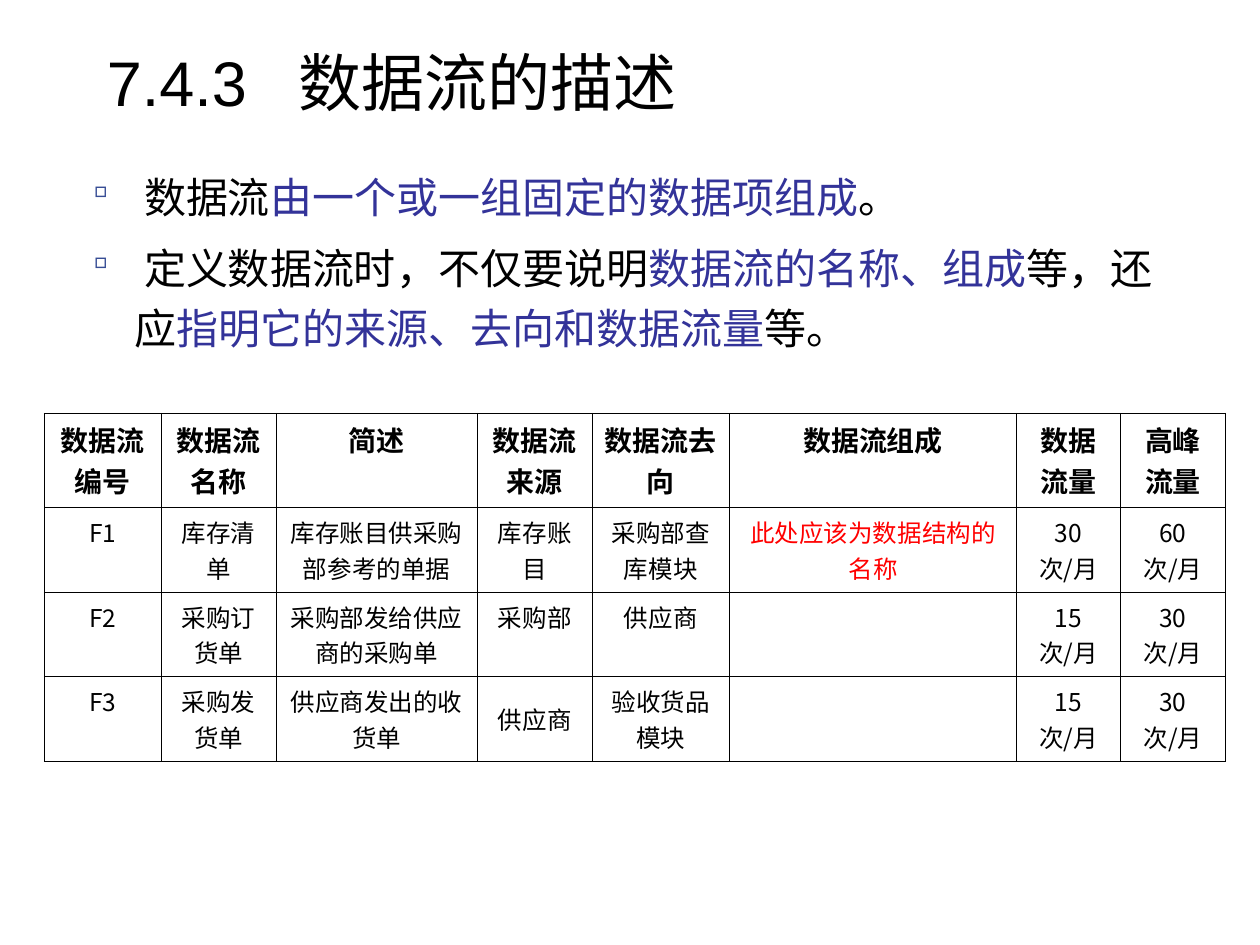
from lxml import etree
from pptx import Presentation
from pptx.dml.color import RGBColor
from pptx.enum.text import MSO_ANCHOR, PP_ALIGN
from pptx.oxml.ns import qn
from pptx.util import Inches, Pt

MIDDLE, TOP = MSO_ANCHOR.MIDDLE, MSO_ANCHOR.TOP
CENTER = PP_ALIGN.CENTER
COLORS = {"text": "000000", "accent": "333399", "bullet": "374D95",
          "note": "FF0000", "border": "000000"}
TITLE = {"name": "Arial", "size": Pt(36)}
BODY = {"name": "Arial", "size": Pt(24)}
HEAD = {"name": "Noto Sans CJK SC", "size": Pt(16), "bold": True}
CELL = {"name": "Noto Sans CJK SC", "size": Pt(14), "bold": False}

# Each bullet is a list of (text, colour) runs
BULLETS = [
    [(" 数据流", "text"), ("由一个或一组固定的数据项组成", "accent"), ("。", "text")],
    [(" 定义数据流时，不仅要说明", "text"), ("数据流的名称、组成", "accent"),
     ("等，还应", "text"), ("指明它的来源、去向和数据流量", "accent"), ("等。", "text")],
]
COLS = [0.93, 0.91, 1.6, 0.91, 1.09, 2.28, 0.82, 0.84]
ROWS = [0.75, 0.67, 0.67, 0.67]
FLOWS = [
    ["数据流编号", "数据流名称", "简述", "数据流来源", "数据流去向", "数据流组成",
     "数据流量", "高峰流量"],
    ["F1", "库存清单", "库存账目供采购部参考的单据", "库存账目", "采购部查库模块",
     "此处应该为数据结构的名称", "30次/月", "60次/月"],
    ["F2", "采购订货单", "采购部发给供应商的采购单", "采购部", "供应商", "",
     "15次/月", "30次/月"],
    ["F3", "采购发货单", "供应商发出的收货单", "供应商", "验收货品\n模块", "",
     "15次/月", "30次/月"],
]
NOTE_CELL = (1, 5)
MIDDLE_CELLS = {(3, 3), (3, 4)}


def set_font(font, fmt, color):
    for key, value in fmt.items():
        setattr(font, key, value)
    font.color.rgb = RGBColor.from_string(COLORS[color])


def add_run(p, text, fmt, color):
    r = p.add_run()
    r.text = text
    set_font(r.font, fmt, color)


def add_box(s, box, anchor):
    tf = s.shapes.add_textbox(*map(Inches, box)).text_frame
    tf.word_wrap = True
    tf.vertical_anchor = anchor
    return tf


def add_title(s, box):
    p = add_box(s, box, MIDDLE).paragraphs[0]
    # A tab stop sets the heading apart from its number
    tabs = etree.SubElement(p._p.get_or_add_pPr(), qn("a:tabLst"))
    etree.SubElement(tabs, qn("a:tab"), pos=str(Inches(1.52)), algn="l")
    add_run(p, "7.4.3\t数据流的描述", TITLE, "text")


def add_bullets(s, box):
    tf = add_box(s, box, TOP)
    for i, runs in enumerate(BULLETS):
        p = tf.add_paragraph() if i else tf.paragraphs[0]
        pPr = p._p.get_or_add_pPr()
        pPr.set("marL", str(Inches(0.38)))
        pPr.set("indent", str(-Inches(0.38)))
        color = etree.SubElement(pPr, qn("a:buClr"))
        etree.SubElement(color, qn("a:srgbClr"), val=COLORS["bullet"])
        etree.SubElement(pPr, qn("a:buSzPct"), val="75000")
        etree.SubElement(pPr, qn("a:buChar"), char="▫")
        p.line_spacing = 1.2
        p.space_before = Pt(6 if i else 0)
        for text, color_name in runs:
            add_run(p, text, BODY, color_name)


def add_borders(cell):
    tcPr = cell._tc.get_or_add_tcPr()
    for side in ("lnL", "lnR", "lnT", "lnB"):
        ln = etree.SubElement(tcPr, qn(f"a:{side}"), w=str(Pt(0.45)))
        fill = etree.SubElement(ln, qn("a:solidFill"))
        etree.SubElement(fill, qn("a:srgbClr"), val=COLORS["border"])


def add_flow_table(s, box):
    table = s.shapes.add_table(len(ROWS), len(COLS), *map(Inches, box)).table
    for col, width in zip(table.columns, COLS):
        col.width = Inches(width)
    for row, height in zip(table.rows, ROWS):
        row.height = Inches(height)
    for i, texts in enumerate(FLOWS):
        for j, text in enumerate(texts):
            cell = table.cell(i, j)
            add_borders(cell)
            cell.fill.background()
            cell.vertical_anchor = MIDDLE if (i, j) in MIDDLE_CELLS else TOP
            cell.text = text
            for p in cell.text_frame.paragraphs:
                p.alignment = CENTER
                color = "note" if (i, j) == NOTE_CELL else "text"
                for r in p.runs:
                    set_font(r.font, CELL if i else HEAD, color)


def main():
    prs = Presentation()
    prs.slide_width, prs.slide_height = Inches(10), Inches(7.5)
    s = prs.slides.add_slide(prs.slide_layouts[6])
    add_title(s, (0.75, 0.3, 8.75, 0.69))
    add_bullets(s, (0.59, 1.23, 8.91, 1.81))
    add_flow_table(s, (0.35, 3.28, sum(COLS), sum(ROWS)))
    prs.save("out.pptx")


if __name__ == "__main__":
    main()
